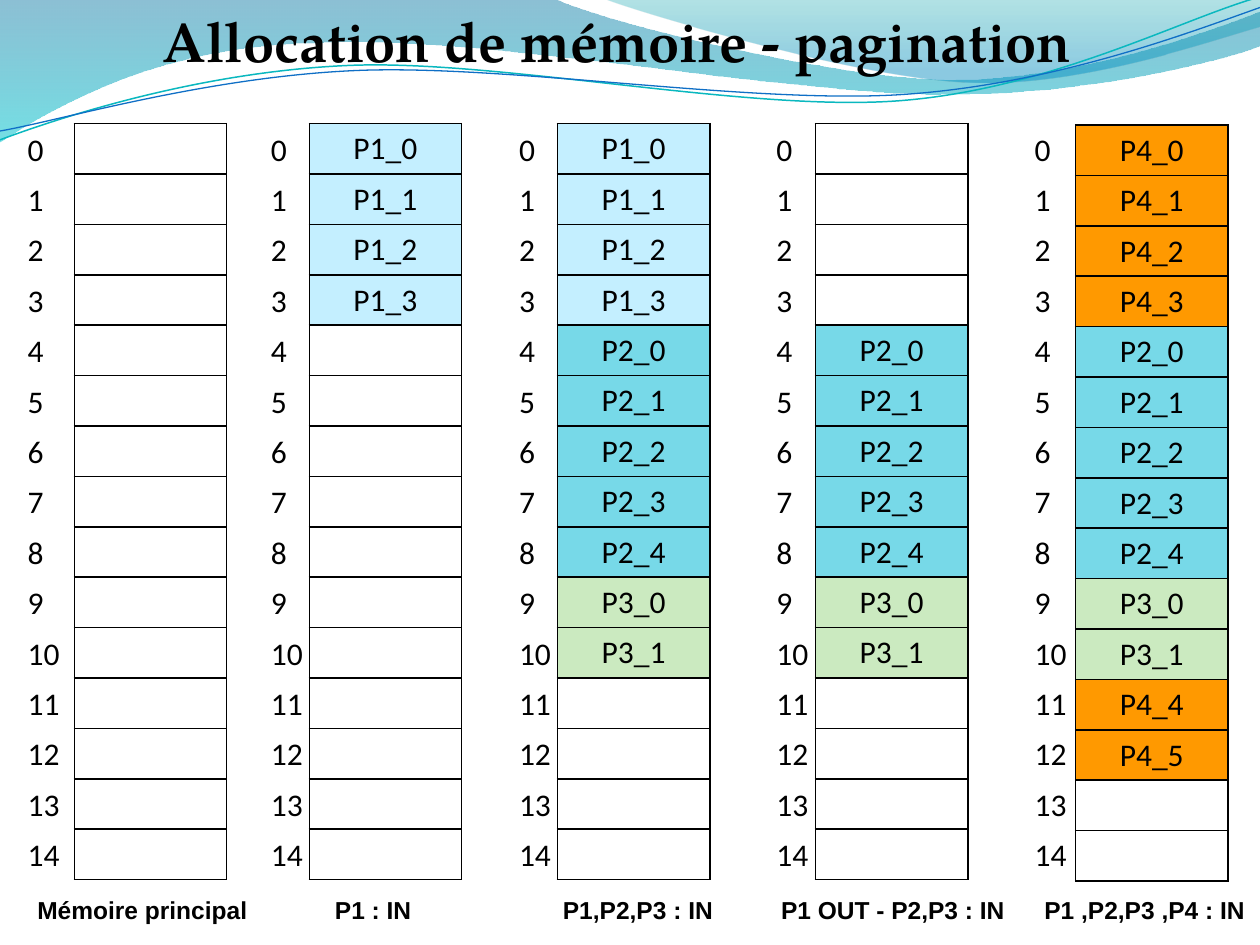
import collections
import dataclasses
import math

import pptx
import pptx.dml.color
import pptx.enum.text
import pptx.oxml
import pptx.oxml.ns
import pptx.util

Pt = pptx.util.Pt
RGBColor = pptx.dml.color.RGBColor
Align = pptx.enum.text.PP_ALIGN
Anchor = pptx.enum.text.MSO_ANCHOR
AutoSize = pptx.enum.text.MSO_AUTO_SIZE

Box = collections.namedtuple("Box", "left top width height")


@dataclasses.dataclass(frozen=True)
class Theme:
    """Colours, fonts and type sizes of the slide."""
    ink: str = "000000"
    title_font: str = "TeX Gyre Pagella"
    page_font: str = "Calibri"
    caption_font: str = "Arial"
    title_size: float = 32
    page_size: float = 18
    caption_size: float = 14
    processes: tuple = (("P1", "C4EFFF"), ("P2", "77D9E8"), ("P3", "CBEAC0"), ("P4", "FF9900"))
    wide_wave: tuple = ((0, "0074A1", 45), (1, "00C6CF", 55))
    right_wave: tuple = ((0, "00A1A9", 30), (0.8, "008BBF", 45))
    teal_line: str = "0AB8BF"
    blue_line: str = "0F6FC6"


@dataclasses.dataclass(frozen=True)
class Snapshot:
    """State of the memory frames, with offsets inside its panel."""
    caption: str
    left: float
    frames_offset: float
    caption_offset: float
    caption_width: float
    pages: list
    frames_drop: float = 0


THEME = Theme()
FRAME_COUNT = 15
WAVE_TILT = 2.7
WAVE_CENTRE = (359.5, 42)


def pages(process, first, count):
    """Name consecutive pages of a process."""
    return [f"{process}_{number}" for number in range(first, first + count)]


FREE = [""] * 4
P1 = pages("P1", 0, 4)
P2_P3 = pages("P2", 0, 5) + pages("P3", 0, 2)
SNAPSHOTS = [
    Snapshot("Mémoire principal", 8.6, 33.9, 5.6, 144.7, []),
    Snapshot("P1 : IN", 147.6, 29.1, 36.7, 73.4, P1),
    Snapshot("P1,P2,P3 : IN", 289.4, 29.1, 25.2, 108, P1 + P2_P3),
    Snapshot("P1 OUT - P2,P3 : IN", 436.5, 29.5, 2.7, 144.7, FREE + P2_P3),
    Snapshot("P1 ,P2,P3 ,P4 : IN", 584, 30.6, 5.7, 144.7,
             pages("P4", 0, 4) + P2_P3 + pages("P4", 4, 2), 0.8),
]

WIDE_WAVE = [
    (0, -0.7), (316.8, -0.7), (342.7, 12.2, 478.1, 45.4, 545.8, 45.4),
    (614.2, 45.4, 689.8, 18.7, 720, 6.5), (720.7, 25.9),
    (707.8, 31.7, 626.4, 54.7, 537.1, 54), (447.8, 54, 275, 20.2, 185, 24.5),
    (92.9, 25.2, 33.1, 59.8, -0.7, 81.4)]
RIGHT_WAVE = [
    (344.9, -0.7), (366.5, 7.9, 491, 44.6, 553.7, 46.8),
    (616.3, 49.7, 691.9, 23, 720, 15.1), (720, 0)]
TEAL_LINE = [
    (0, 79.9), (34.6, 67, 113.8, 41, 199.4, 37.4),
    (284.4, 33.8, 427, 64.1, 513.4, 57.6), (599.8, 51.1, 675.4, 10.8, 718.6, -1.4)]
BLUE_LINE = [
    (0, 74.9), (33.8, 69.1, 118.1, 43.9, 203.8, 40.3),
    (290.2, 36.7, 429.8, 59.8, 516.2, 54), (601.9, 48.2, 677.5, 19.4, 720, 4.3)]


def write_text(frame, text, *, font, size, bold=False, align=Align.LEFT):
    """Write one formatted paragraph and return it."""
    paragraph = frame.paragraphs[0]
    paragraph.alignment = align
    run = paragraph.add_run()
    run.text = text
    run.font.name = font
    run.font.size = Pt(size)
    run.font.bold = bold
    run.font.color.rgb = RGBColor.from_string(THEME.ink)
    return paragraph


def place(shape, box):
    """Move a shape into a box."""
    shape.left, shape.top, shape.width, shape.height = map(Pt, box)


def rotate(point, degrees):
    """Turn a point clockwise about the centre of the wave lines."""
    angle = math.radians(degrees)
    x, y = point[0] - WAVE_CENTRE[0], point[1] - WAVE_CENTRE[1]
    return (WAVE_CENTRE[0] + x * math.cos(angle) - y * math.sin(angle),
            WAVE_CENTRE[1] + x * math.sin(angle) + y * math.cos(angle))


def add_outline(slide, box, segments, close, tilt=0):
    """Draw a freeform of straight and cubic segments from the box corner."""
    points = [rotate(segment[index:index + 2], tilt)
              for segment in segments for index in range(0, len(segment), 2)]
    corners = [(Pt(box.left + x), Pt(box.top + y)) for x, y in points]
    builder = slide.shapes.build_freeform(*corners[0], scale=1.0)
    builder.add_line_segments(corners[1:], close=close)
    shape = builder.convert_to_shape()
    shape.shadow.inherit = False
    shape.rotation = -tilt % 360
    lines = iter(list(shape.element.iter(pptx.oxml.ns.qn("a:lnTo"))))
    for segment in segments[1:]:
        first = next(lines)
        if len(segment) == 6:
            curve = pptx.oxml.parse_xml(f'<a:cubicBezTo {pptx.oxml.ns.nsdecls("a")}/>')
            first.addprevious(curve)
            for line in (first, next(lines), next(lines)):
                curve.append(line[0])
                line.getparent().remove(line)
    return shape


def add_waves(slide, box):
    """Draw the two gradient waves and the two tilted lines on the master."""
    shapes = []
    for segments, colours in ((WIDE_WAVE, THEME.wide_wave), (RIGHT_WAVE, THEME.right_wave)):
        wave = add_outline(slide, box, segments, True)
        wave.line.fill.background()
        wave.fill.gradient()
        wave.fill.gradient_angle = 270
        for stop, (position, colour, opacity) in zip(wave.fill.gradient_stops, colours):
            stop.position = position
            stop.color.rgb = RGBColor.from_string(colour)
        for element, (position, colour, opacity) in zip(
                wave.element.spPr.iter(pptx.oxml.ns.qn("a:srgbClr")), colours):
            element.append(pptx.oxml.parse_xml(
                f'<a:alpha {pptx.oxml.ns.nsdecls("a")} val="{opacity * 1000}"/>'))
        shapes.append(wave)
    for segments, colour, width in ((TEAL_LINE, THEME.teal_line, 0.85), (BLUE_LINE, THEME.blue_line, 0.75)):
        line = add_outline(slide, box, segments, False, WAVE_TILT)
        line.fill.background()
        line.line.color.rgb = RGBColor.from_string(colour)
        line.line.width = Pt(width)
        shapes.append(line)
    for number, shape in enumerate(shapes, 101):
        shape.element.nvSpPr.cNvPr.set("id", str(number))
        slide.slide_layout.slide_master.shapes.element.append(shape.element)


def add_title(slide, box):
    """Fill and format the title placeholder."""
    title = slide.shapes.title
    place(title, box)
    title.text_frame.vertical_anchor = Anchor.TOP
    title.text_frame.word_wrap = True
    title.text_frame.auto_size = AutoSize.SHAPE_TO_FIT_TEXT
    paragraph = write_text(title.text_frame, "Allocation de mémoire - pagination", font=THEME.title_font,
                           size=THEME.title_size, bold=True, align=Align.CENTER)
    paragraph.line_spacing = Pt(41)
    paragraph.space_before = paragraph.space_after = Pt(6)


def set_borders(cell, colour=None):
    """Give a cell one-point borders, or none without a colour."""
    fill = f'<a:solidFill><a:srgbClr val="{colour}"/></a:solidFill>' if colour else "<a:noFill/>"
    properties = cell._tc.get_or_add_tcPr()
    for side in "LRTB":
        properties.append(pptx.oxml.parse_xml(
            f'<a:ln{side} {pptx.oxml.ns.nsdecls("a")} w="{Pt(1)}">{fill}</a:ln{side}>'))


def add_column(slide, box, texts, align, border=None):
    """Add a one-column table with one row for each frame."""
    table = slide.shapes.add_table(FRAME_COUNT, 1, *map(Pt, box)).table
    table.first_row = table.horz_banding = False
    colours = dict(THEME.processes)
    for cell, text in zip(table.iter_cells(), texts):
        cell.margin_top, cell.margin_bottom = Pt(3.6), Pt(3)
        set_borders(cell, border)
        colour = colours.get(text[:2])
        if colour:
            cell.fill.solid()
            cell.fill.fore_color.rgb = RGBColor.from_string(colour)
        else:
            cell.fill.background()
        if text:
            write_text(cell.text_frame, text, font=THEME.page_font, size=THEME.page_size, align=align)


def add_snapshot(slide, box, snapshot):
    """Place frame numbers, frames and caption in a panel."""
    add_column(slide, Box(box.left + snapshot.frames_offset, box.top + snapshot.frames_drop, 87.1, box.height),
               snapshot.pages + [""] * (FRAME_COUNT - len(snapshot.pages)), Align.CENTER, THEME.ink)
    add_column(slide, Box(box.left, box.top + 0.7, 36.7, box.height),
               [str(number) for number in range(FRAME_COUNT)], Align.LEFT)
    caption = slide.shapes.add_textbox(*map(Pt, (
        box.left + snapshot.caption_offset, box.top + box.height + 4.9, snapshot.caption_width, 24.5)))
    caption.text_frame.word_wrap = True
    caption.text_frame.auto_size = AutoSize.SHAPE_TO_FIT_TEXT
    write_text(caption.text_frame, snapshot.caption, font=THEME.caption_font,
               size=THEME.caption_size, bold=True)


def main():
    """Build and save the presentation."""
    presentation = pptx.Presentation()
    presentation.slide_width, presentation.slide_height = Pt(720), Pt(540)
    slide = presentation.slides.add_slide(presentation.slide_layouts[5])
    add_waves(slide, Box(0, 0, 720, 82))
    add_title(slide, Box(65.5, -2.2, 574.6, 49))
    for snapshot in SNAPSHOTS:
        add_snapshot(slide, Box(snapshot.left, 70.6, 120, 432.4), snapshot)
    presentation.save("out.pptx")


if __name__ == "__main__":
    main()
